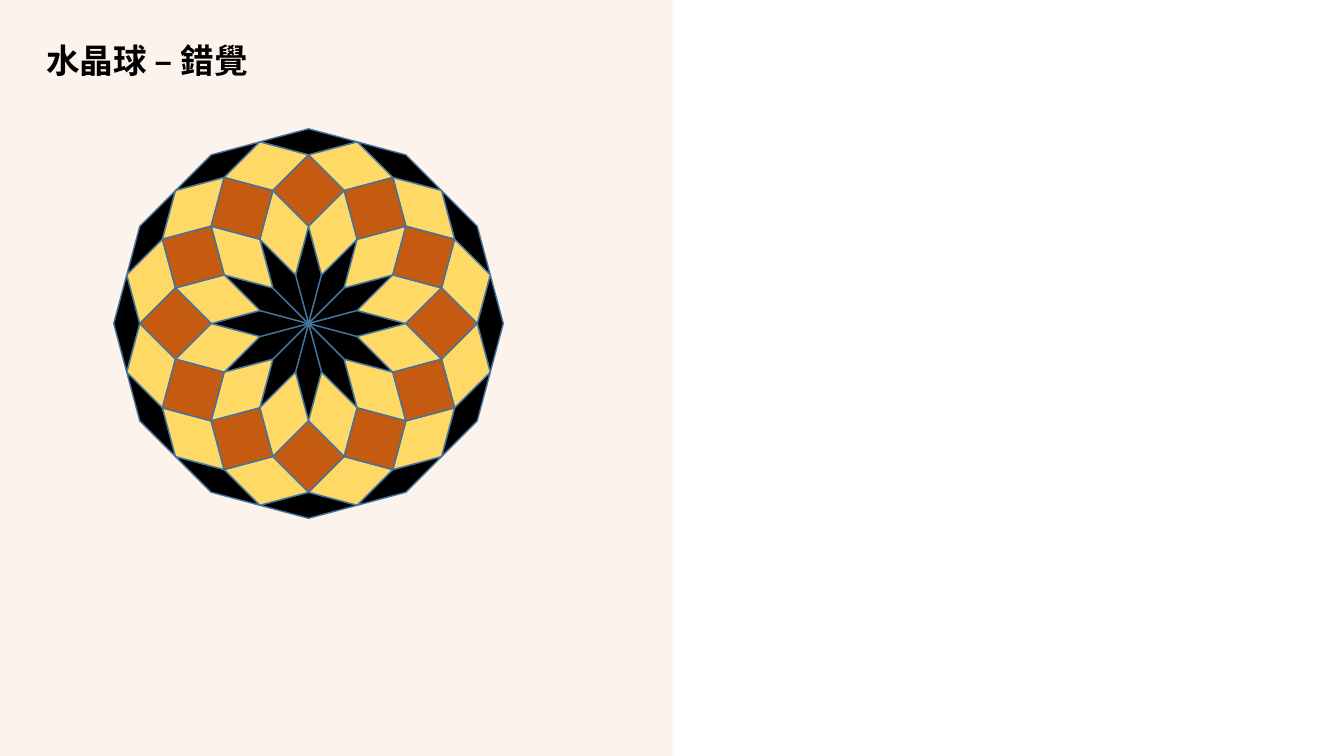
import math
from dataclasses import dataclass

import pptx
import pptx.dml.color
import pptx.enum.shapes
import pptx.enum.text
import pptx.oxml
import pptx.oxml.ns
import pptx.util
from pptx.util import Inches

RGBColor = pptx.dml.color.RGBColor
BLACK = RGBColor(0x00, 0x00, 0x00)
YELLOW = RGBColor(0xFF, 0xD9, 0x66)
ORANGE = RGBColor(0xC5, 0x5A, 0x11)
EDGE_BLUE = RGBColor(0x43, 0x73, 0x9E)
PANEL = RGBColor(0xF4, 0xB1, 0x83)
DIVIDER = RGBColor(0xFB, 0xE5, 0xD6)
WHITE = RGBColor(0xFF, 0xFF, 0xFF)
FONT = "Noto Sans CJK SC"

CENTER_X, CENTER_Y = 3.06, 3.21
EDGE = 0.5
PETALS = 12
STEP = 360 / PETALS
HALF = STEP / 2


@dataclass(frozen=True)
class Band:
    rings: tuple[int, ...]
    color: RGBColor


BANDS = (
    Band((1, 5), BLACK),
    Band((2, 4), YELLOW),
    Band((3,), ORANGE),
)


def set_alpha(fill: pptx.dml.fill.FillFormat, percent: int) -> None:
    clr = fill._xPr.find(".//" + pptx.oxml.ns.qn("a:srgbClr"))
    alpha = pptx.oxml.parse_xml(
        f'<a:alpha {pptx.oxml.ns.nsdecls("a")} val="{percent * 1000}"/>')
    clr.append(alpha)


def vertex(level: int, angle: float) -> tuple[int, int]:
    radius = EDGE * math.sin(math.radians(level * HALF)) / math.sin(math.radians(HALF))
    a = math.radians(angle)
    return (Inches(CENTER_X + radius * math.sin(a)),
            Inches(CENTER_Y - radius * math.cos(a)))


def add_rhombus(shapes: pptx.shapes.shapetree.GroupShapes, ring: int,
                angle: float, color: RGBColor) -> None:
    points = [vertex(ring - 1, angle), vertex(ring, angle + HALF),
              vertex(ring + 1, angle), vertex(ring, angle - HALF)]
    fb = shapes.build_freeform(*points[0])
    fb.add_line_segments(points[1:], close=True)
    sp = fb.convert_to_shape()
    sp.shadow.inherit = False
    sp.fill.solid()
    sp.fill.fore_color.rgb = color
    sp.line.color.rgb = EDGE_BLUE
    sp.line.width = pptx.util.Pt(1)


def add_band(s: pptx.slide.Slide, band: Band) -> None:
    group = s.shapes.add_group_shape()
    for ring in band.rings:
        offset = 0 if ring % 2 else HALF
        for petal in range(PETALS):
            add_rhombus(group.shapes, ring, offset + petal * STEP, band.color)


def add_panel(s: pptx.slide.Slide) -> None:
    sp = s.shapes.add_shape(pptx.enum.shapes.MSO_SHAPE.RECTANGLE,
                            0, 0, Inches(6.67), Inches(7.5))
    sp.shadow.inherit = False
    sp.fill.solid()
    sp.fill.fore_color.rgb = PANEL
    set_alpha(sp.fill, 14)
    sp.line.fill.background()


def add_divider(s: pptx.slide.Slide) -> None:
    cx = s.shapes.add_connector(pptx.enum.shapes.MSO_CONNECTOR.STRAIGHT,
                                Inches(6.67), Inches(7.5), Inches(6.67), 0)
    cx.line.color.rgb = DIVIDER
    cx.line.width = pptx.util.Pt(0.25)
    set_alpha(cx.line.fill, 50)
    cx._element.spPr.append(
        pptx.oxml.parse_xml(f'<a:effectLst {pptx.oxml.ns.nsdecls("a")}/>'))


def add_text(s: pptx.slide.Slide, text: str, *, left: float, top: float,
             width: float, height: float, size: float, color: RGBColor,
             bold: bool = False, spacing: float = 1.0) -> None:
    sp = s.shapes.add_textbox(Inches(left), Inches(top), Inches(width), Inches(height))
    tf = sp.text_frame
    tf.word_wrap = True
    tf.vertical_anchor = pptx.enum.text.MSO_ANCHOR.MIDDLE
    p = tf.paragraphs[0]
    p.line_spacing = spacing
    r = p.add_run()
    r.text = text
    r.font.size = pptx.util.Pt(size)
    r.font.bold = bold
    r.font.color.rgb = color
    r.font.name = FONT
    r._r.get_or_add_rPr().append(pptx.oxml.parse_xml(
        f'<a:ea {pptx.oxml.ns.nsdecls("a")} typeface="{FONT}"/>'))


def main() -> None:
    prs = pptx.Presentation()
    prs.slide_width, prs.slide_height = Inches(13.33), Inches(7.5)
    s = prs.slides.add_slide(prs.slide_layouts[6])
    s.background.fill.solid()
    s.background.fill.fore_color.rgb = WHITE
    add_panel(s)
    add_divider(s)
    add_text(s, "水晶球 – 錯覺", left=0.36, top=0.4, width=5.95, height=0.44,
             size=24, color=BLACK, bold=True, spacing=0.9)
    for band in BANDS:
        add_band(s, band)
    prs.save("out.pptx")


if __name__ == "__main__":
    main()
